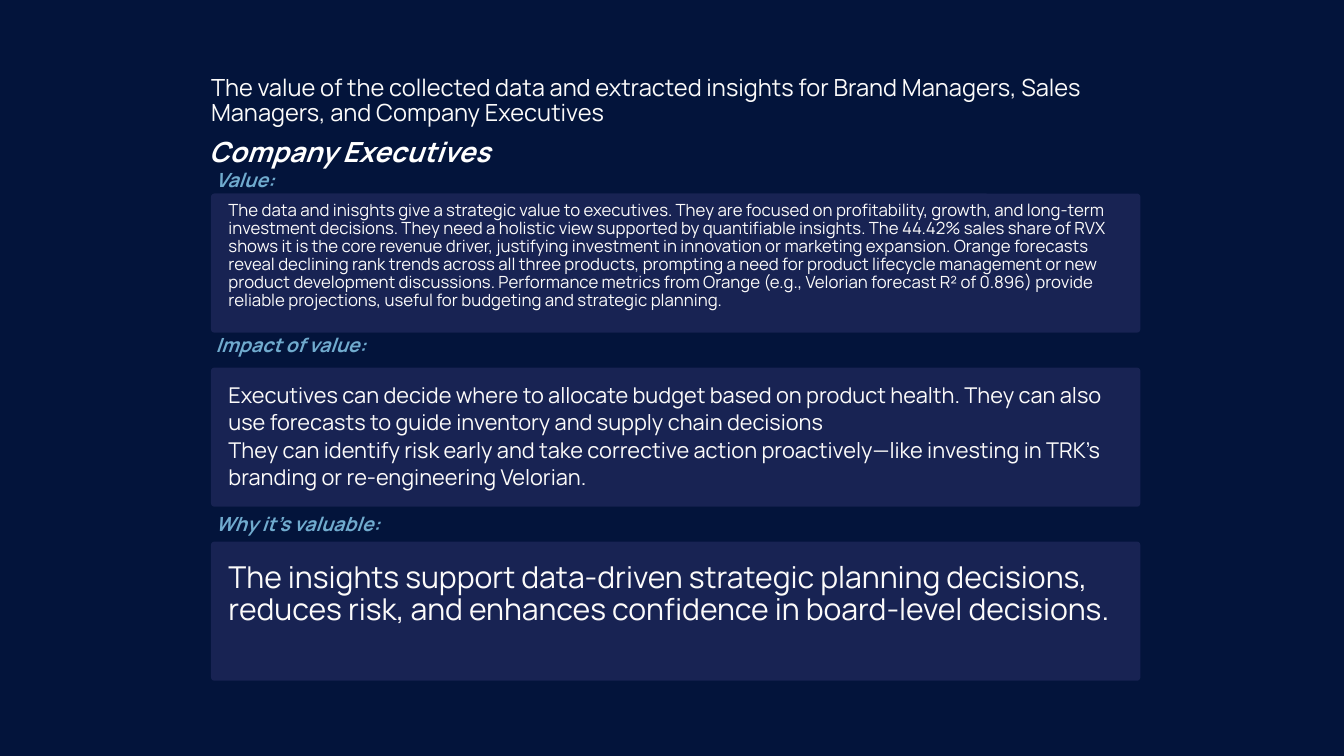
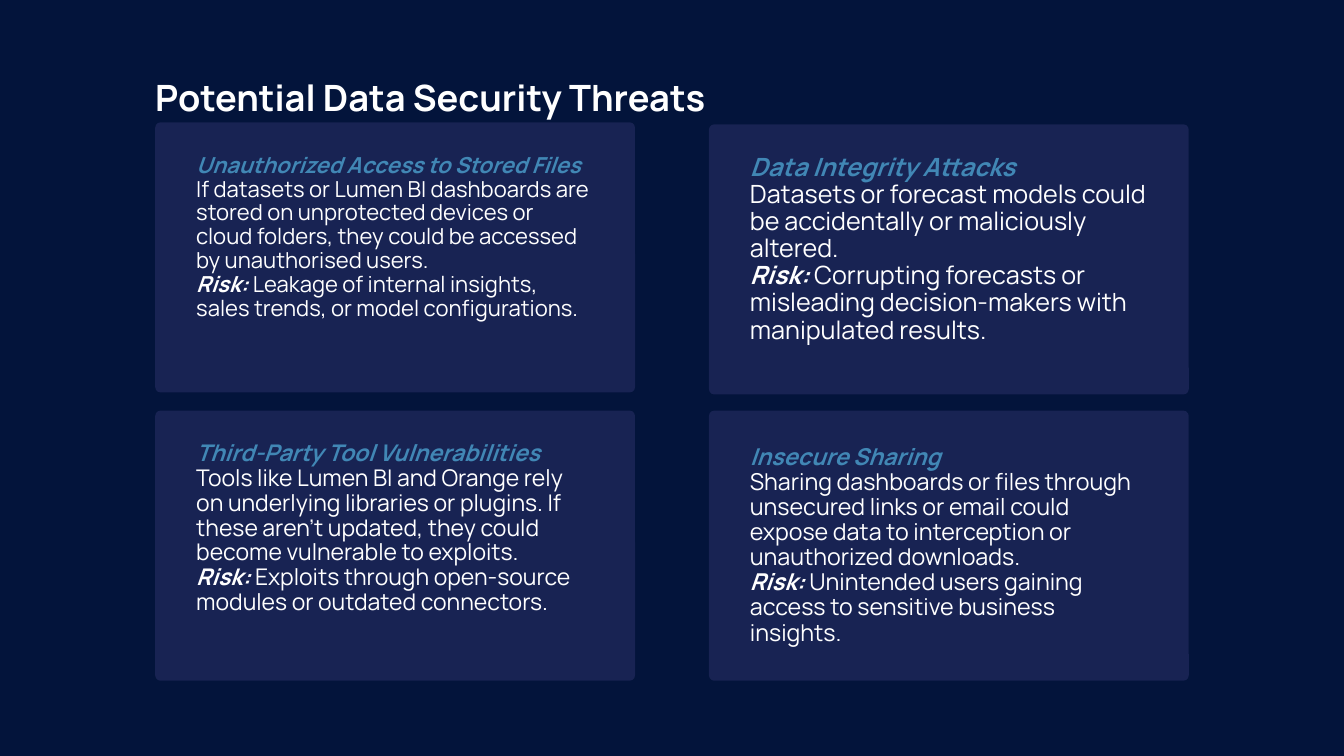
from lxml import etree
from pptx import Presentation
from pptx.dml.color import RGBColor
from pptx.enum.shapes import MSO_SHAPE
from pptx.enum.text import MSO_ANCHOR, MSO_AUTO_SIZE, PP_ALIGN
from pptx.oxml.ns import qn
from pptx.util import Inches, Pt

ROUNDED = MSO_SHAPE.ROUNDED_RECTANGLE
LEFT, TOP, NO_FIT = PP_ALIGN.LEFT, MSO_ANCHOR.TOP, MSO_AUTO_SIZE.NONE

NAVY = RGBColor(0x03, 0x14, 0x3B)
PANEL = RGBColor(0x2A, 0x30, 0x66)
WHITE = RGBColor(0xFF, 0xFF, 0xFF)
CREAM = RGBColor(0xFC, 0xFB, 0xFA)
SKY = RGBColor(0x70, 0xAB, 0xCE)
STEEL = RGBColor(0x41, 0x87, 0xB5)

FONT = "Manrope"
LEADING = 1.08          # line height as a multiple of the text size
PANEL_ALPHA = 56        # percent
COLS, ROWS = 200, 112.5  # grid of the slide

PLAIN = {"bold": False, "italic": False}
BOLD = {"bold": True, "italic": False}
STRESS = {"bold": True, "italic": True}
FRAME = {"margin_left": 0, "margin_right": 0, "margin_top": 0, "margin_bottom": 0,
         "word_wrap": True, "auto_size": NO_FIT, "vertical_anchor": TOP}


class Deck:
    """Holds the shared style and the slide being built."""

    def __init__(self):
        self.prs = Presentation()
        self.prs.slide_width, self.prs.slide_height = Inches(20), Inches(11.25)
        self.col = self.prs.slide_width / COLS
        self.row = self.prs.slide_height / ROWS
        fill = self.prs.slide_master.background.fill
        fill.solid()
        fill.fore_color.rgb = NAVY
        self.slide = None

    def box(self, left, top, width, height):
        return (round(left * self.col), round(top * self.row),
                round(width * self.col), round(height * self.row))

    def set_text(self, frame, paragraphs, size, leading=LEADING):
        """Each paragraph is a list of (text, colour, format) runs."""
        for name, value in FRAME.items():
            setattr(frame, name, value)
        for i, runs in enumerate(paragraphs):
            paragraph = frame.add_paragraph() if i else frame.paragraphs[0]
            paragraph.alignment = LEFT
            paragraph.line_spacing = Pt(round(size * leading, 1))
            paragraph.space_before = Pt(0)
            for text, colour, style in runs:
                run = paragraph.add_run()
                run.text = text
                run.font.color.rgb = colour
                for name, value in {"name": FONT, "size": Pt(size), **style}.items():
                    setattr(run.font, name, value)

    def new_slide(self, title, place, size, colour, style):
        self.slide = self.prs.slides.add_slide(self.prs.slide_layouts[5])
        holder = self.slide.shapes.title
        holder.left, holder.top, holder.width, holder.height = self.box(*place)
        self.set_text(holder.text_frame, [[(title, colour, style)]], size)

    def text(self, place, paragraphs, size, leading=LEADING):
        frame = self.slide.shapes.add_textbox(*self.box(*place)).text_frame
        self.set_text(frame, paragraphs, size, leading)

    def panel(self, left, top, width, height, corner):
        panel = self.slide.shapes.add_shape(ROUNDED, *self.box(left, top, width, height))
        panel.shadow.inherit = False
        panel.adjustments[0] = corner / height
        panel.line.fill.background()
        panel.fill.solid()
        panel.fill.fore_color.rgb = PANEL
        colour = panel.element.spPr.find(qn("a:solidFill"))[0]
        etree.SubElement(colour, qn("a:alpha")).set("val", str(PANEL_ALPHA * 1000))


# Sections: label, label top, label width, body place, size, leading, body paragraphs
SECTIONS = [
    ("Value:", 25.4, 14, (34, 30, 132, 18.5), 18, LEADING, [
        "The data and inisghts give a strategic value to executives. They are focused on "
        "profitability, growth, and long-term investment decisions. They need a holistic view "
        "supported by quantifiable insights. The 44.42% sales share of RVX shows it is the core "
        "revenue driver, justifying investment in innovation or marketing expansion. Orange "
        "forecasts reveal declining rank trends across all three products, prompting a need for "
        "product lifecycle management or new product development discussions. Performance "
        "metrics from Orange (e.g., Velorian forecast R² of 0.896) provide reliable projections, "
        "useful for budgeting and strategic planning."]),
    ("Impact of value:", 49.9, 30, (34, 56.6, 135.6, 20.4), 23.3, 1.26, [
        "Executives can decide where to allocate budget based on product health. They can also "
        "use forecasts to guide inventory and supply chain decisions",
        "They can identify risk early and take corrective action proactively—like investing in "
        "TRK’s branding or re-engineering Velorian."]),
    ("Why it’s valuable:", 76.5, 32, (34, 83.6, 133.8, 14.8), 32.3, LEADING, [
        "The insights support data-driven strategic planning decisions, reduces risk, and "
        "enhances confidence in board-level decisions."]),
]

# Threats: panel left, panel top, text top, size, name, description, risk
THREATS = [
    (23.1, 18.2, 22.9, 23.6, "Unauthorized Access to Stored Files",
     "If datasets or Lumen BI dashboards are stored on unprotected devices or cloud folders, "
     "they could be accessed by unauthorised users.",
     "Leakage of internal insights, sales trends, or model configurations."),
    (105.5, 18.5, 22.9, 26.9, "Data Integrity Attacks",
     "Datasets or forecast models could be accidentally or maliciously altered.",
     "Corrupting forecasts or misleading decision-makers with manipulated results."),
    (23.1, 61.1, 65.7, 24.6, "Third-Party Tool Vulnerabilities",
     "Tools like Lumen BI and Orange rely on underlying libraries or plugins. If these aren’t "
     "updated, they could become vulnerable to exploits.",
     "Exploits through open-source modules or outdated connectors."),
    (105.5, 61.1, 66.2, 24.9, "Insecure Sharing",
     "Sharing dashboards or files through unsecured links or email could expose data to "
     "interception or unauthorized downloads.",
     "Unintended users gaining access to sensitive business insights."),
]


def executives_slide(deck):
    deck.new_slide("The value of the collected data and extracted insights for Brand Managers, "
                   "Sales Managers, and Company Executives",
                   (31.4, 11.2, 132, 7.9), 25.3, CREAM, PLAIN)
    deck.text((31.1, 20.5, 60, 4.8), [[("Company Executives", WHITE, STRESS)]], 29.7)
    # One panel per section, evenly stepped
    for i, (label, label_top, label_width, place, size, leading, body) in enumerate(SECTIONS):
        deck.panel(31.4, 28.8 + 25.9 * i, 138.3, 20.7, 0.5)
        deck.text((32.1, label_top, label_width, 3.5), [[(label, SKY, STRESS)]], 20.9)
        deck.text(place, [[(line, CREAM, PLAIN)] for line in body], size, leading)


def threats_slide(deck):
    deck.new_slide("Potential Data Security Threats",
                   (23.1, 11.9, 159.4, 6.3), 38.8, WHITE, BOLD)
    # Two by two panels, text inset from each panel's left edge
    for left, top, text_top, size, threat, description, risk in THREATS:
        deck.panel(left, top, 71.4, 40.2, 0.8)
        deck.text((left + 6.1, text_top, 59.2, 34), [
            [(threat, STEEL, STRESS)],
            [(description, WHITE, PLAIN)],
            [("Risk: ", WHITE, STRESS), (risk, WHITE, PLAIN)],
        ], size)


def main():
    deck = Deck()
    executives_slide(deck)
    threats_slide(deck)
    deck.prs.save("out.pptx")


if __name__ == "__main__":
    main()
